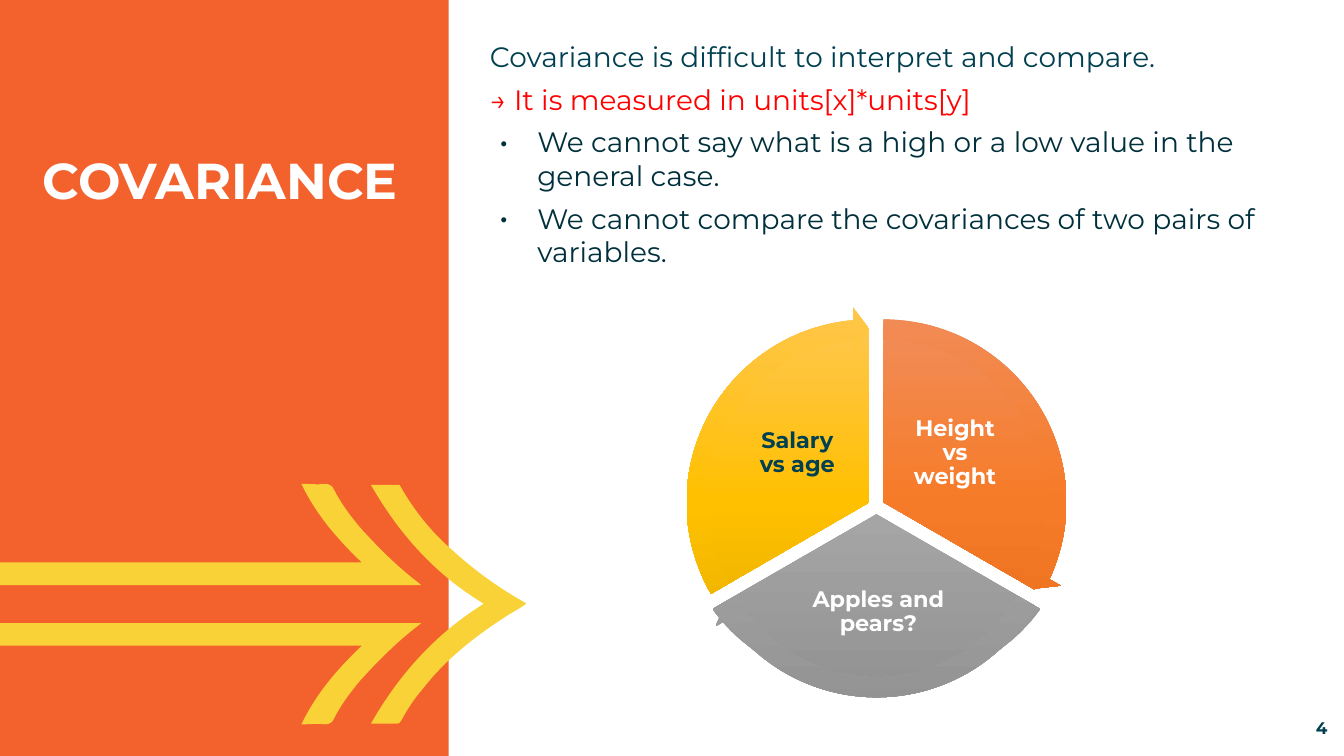
from dataclasses import dataclass
from math import cos, radians, sin

from lxml import etree
from pptx import Presentation
from pptx.dml.color import RGBColor
from pptx.enum.shapes import MSO_SHAPE
from pptx.enum.text import MSO_ANCHOR, PP_ALIGN
from pptx.oxml.ns import qn
from pptx.util import Inches, Pt

RECTANGLE, PIE, CIRCULAR_ARROW = MSO_SHAPE.RECTANGLE, MSO_SHAPE.PIE, MSO_SHAPE.CIRCULAR_ARROW
TOP, MIDDLE, BOTTOM = MSO_ANCHOR.TOP, MSO_ANCHOR.MIDDLE, MSO_ANCHOR.BOTTOM
LEFT, CENTER, RIGHT = PP_ALIGN.LEFT, PP_ALIGN.CENTER, PP_ALIGN.RIGHT

# Grid: 133.3 columns by 75 rows of square cells
COLUMNS, ROWS = 133.33, 75
CELL = Inches(0.1)


@dataclass(frozen=True)
class Theme:
    font: str = "Montserrat"
    panel: str = "F3612C"
    arrow: str = "F8D237"
    white: str = "FFFFFF"
    navy: str = "004050"
    dark: str = "00303C"
    red: str = "FF0000"
    orange: tuple = ("F18C57", "F67B28", "E56C19")
    grey: tuple = ("AFAFAF", "A5A5A5", "939393")
    yellow: tuple = ("FFC64B", "FFC000", "E3AB00")
    title_size: int = 36
    body_size: int = 20
    label_size: int = 16
    number_size: int = 12


THEME = Theme()

# Cycle diagram, in cells and degrees
CYCLE_CENTER = (86.95, 50.23)
CYCLE_GAP = 0.8
PIE_SIZE, ARROW_SIZE = 34.6, 38.9
ANGLE_UNIT = 0.6  # one degree as an adjustment value
HEAD_ANGLE = 3.275

# Arrow emblem, in cells: a start point, then lines (x, y) or curves (six numbers)
EMBLEM_AXIS = 59.93
SHAFT = [
    (41.8, 58.05), (-6.2, 58.05), (-6.2, 55.8), (35.9, 55.8),
    (33.5, 53.5, 31.4, 51.1, 29.9, 48), (30.7, 48, 31.5, 48.1, 32.3, 48),
    (32.6, 48, 33, 48.2, 33.1, 48.5), (33.8, 49.9, 34.7, 51.1, 35.7, 52.3),
    (37.5, 54.3, 39.4, 56.2, 41.5, 57.8), (41.6, 57.9, 41.7, 58, 41.8, 58.05),
]
CHEVRON = [
    (48, 59.9), (43.2, 57, 39.6, 53, 36.8, 48.1), (39.4, 48.1),
    (39.6, 48.1, 39.7, 48.1, 39.7, 48.2), (41.1, 50.7, 42.9, 52.9, 45, 54.7),
    (47.2, 56.7, 49.6, 58.4, 52.1, 59.8), (52.2, 59.9),
    (51.7, 60.3, 51.1, 60.6, 50.6, 60.9), (47.3, 63, 44.3, 65.3, 41.9, 68.4),
    (41.1, 69.3, 40.4, 70.4, 39.8, 71.5), (39.7, 71.7, 39.6, 71.8, 39.4, 71.8),
    (36.8, 71.8), (39.6, 66.9, 43.2, 62.9, 48, 59.9),
]


def cells(*counts):
    return [round(count * CELL) for count in counts]


def paint(shape, color):
    shape.shadow.inherit = False
    shape.line.fill.background()
    shape.fill.solid()
    shape.fill.fore_color.rgb = RGBColor.from_string(color)


def paint_gradient(shape, colors):
    """Vertical gradient with evenly spaced stops."""
    shape.shadow.inherit = False
    shape.line.fill.background()
    shape.fill.gradient()
    gradient = shape.element.spPr.find(qn("a:gradFill"))
    for child in list(gradient):
        gradient.remove(child)
    stops = etree.SubElement(gradient, qn("a:gsLst"))
    for index, color in enumerate(colors):
        position = index * 100000 // (len(colors) - 1)
        stop = etree.SubElement(stops, qn("a:gs"), pos=str(position))
        etree.SubElement(stop, qn("a:srgbClr"), val=color)
    etree.SubElement(gradient, qn("a:lin"), ang="5400000", scaled="0")


def add_text_area(slide, box, anchor=TOP, inset=0):
    frame = slide.shapes.add_textbox(*cells(*box)).text_frame
    frame.word_wrap = True
    frame.vertical_anchor = anchor
    frame.margin_left = frame.margin_right = Inches(inset)
    frame.margin_top = frame.margin_bottom = Inches(inset)
    return frame


def write(paragraph, text, size, color, bold=False, align=LEFT):
    paragraph.alignment = align
    run = paragraph.add_run()
    run.text = text
    run.font.name = THEME.font
    run.font.size = Pt(size)
    run.font.bold = bold
    run.font.color.rgb = RGBColor.from_string(color)


def add_bullet(paragraph):
    props = paragraph._p.get_or_add_pPr()
    props.set("marL", str(Inches(0.47)))
    props.set("indent", str(Inches(-0.38)))
    etree.SubElement(props, qn("a:buSzPct"), val="120000")
    etree.SubElement(props, qn("a:buFont"), typeface=THEME.font)
    etree.SubElement(props, qn("a:buChar"), char="•")


def add_outline(slide, outline, color):
    """Closed outline; six-number segments become cubic curves."""
    start, *segments = [cells(*segment) for segment in outline]
    builder = slide.shapes.build_freeform(*start)
    builder.add_line_segments([segment[-2:] for segment in segments], close=True)
    shape = builder.convert_to_shape()
    lines = list(shape.element.spPr.iter(qn("a:lnTo")))
    for line, segment in zip(lines, segments):
        if len(segment) == 6:
            curve = etree.Element(qn("a:cubicBezTo"))
            for x, y in zip(segment[::2], segment[1::2]):
                etree.SubElement(curve, qn("a:pt"), x=str(x - shape.left), y=str(y - shape.top))
            line.getparent().replace(line, curve)
    paint(shape, color)


def mirror(outline):
    """Reflect an outline over the emblem's horizontal axis."""
    return [tuple(2 * EMBLEM_AXIS - value if index % 2 else value
                  for index, value in enumerate(segment)) for segment in outline]


def add_emblem(slide):
    for outline in (SHAFT, CHEVRON, mirror(SHAFT)):
        add_outline(slide, outline, THEME.arrow)


def add_sector_shape(slide, kind, center, width, height, colors, adjustments):
    left, top = center[0] - width / 2, center[1] - height / 2
    shape = slide.shapes.add_shape(kind, *cells(left, top, width, height))
    for index, value in enumerate(adjustments):
        shape.adjustments[index] = value
    paint_gradient(shape, colors)


def add_cycle(slide):
    # start angle, pie width, colours, label, label colour, label box
    sectors = [
        (270, PIE_SIZE, THEME.orange, "Height vs weight", THEME.white, (90.4, 41.35, 8.7, 7.3)),
        (30, 38.7, THEME.grey, "Apples and pears?", THEME.white, (79.8, 57.55, 14.7, 6.4)),
        (150, PIE_SIZE, THEME.yellow, "Salary vs age", THEME.navy, (74.75, 41.35, 8.7, 7.3)),
    ]
    arrows = []
    for start, width, colors, label, label_color, label_box in sectors:
        end = (start + 120) % 360
        middle = radians(start + 60)
        center = (CYCLE_CENTER[0] + CYCLE_GAP * cos(middle),
                  CYCLE_CENTER[1] + CYCLE_GAP * sin(middle))
        first, last = start * ANGLE_UNIT, end * ANGLE_UNIT
        add_sector_shape(slide, PIE, center, width, PIE_SIZE, colors, (first, last))
        frame = add_text_area(slide, label_box, MIDDLE, inset=0.02)
        frame.paragraphs[0].line_spacing = 0.9
        write(frame.paragraphs[0], label, THEME.label_size, label_color, True, CENTER)
        arrows.append((center, colors, (0.051, HEAD_ANGLE, last - HEAD_ANGLE, first, 0.059)))
    # Rim arrows lie over every sector
    for center, colors, adjustments in arrows:
        add_sector_shape(slide, CIRCULAR_ARROW, center, ARROW_SIZE, ARROW_SIZE,
                         colors, adjustments)


def add_body(slide):
    lines = [
        ("Covariance is difficult to interpret and compare.", THEME.navy, False),
        ("→ It is measured in units[x]*units[y]", THEME.red, False),
        ("We cannot say what is a high or a low value in the general case.", THEME.dark, True),
        ("We cannot compare the covariances of two pairs of variables.", THEME.dark, True),
    ]
    frame = add_text_area(slide, (48.6, 3.9, 78.8, 66.7))
    for index, (text, color, bulleted) in enumerate(lines):
        paragraph = frame.add_paragraph() if index else frame.paragraphs[0]
        if bulleted:
            add_bullet(paragraph)
        paragraph.space_after = Pt(6.5)
        write(paragraph, text, THEME.body_size, color)


def main():
    deck = Presentation()
    deck.slide_width, deck.slide_height = cells(COLUMNS, ROWS)
    slide = deck.slides.add_slide(deck.slide_layouts[6])

    # Side panel and emblem
    panel = slide.shapes.add_shape(RECTANGLE, *cells(0, 0, 44.5, ROWS))
    paint(panel, THEME.panel)
    add_emblem(slide)

    # Text
    add_body(slide)
    title = add_text_area(slide, (4.2, 14.8, 37.7, 30.1))
    write(title.paragraphs[0], "COVARIANCE", THEME.title_size, THEME.white, True)
    number = add_text_area(slide, (123.1, 71.2, 8.6, 2), BOTTOM)
    write(number.paragraphs[0], "4", THEME.number_size, THEME.navy, True, RIGHT)

    # Diagram
    add_cycle(slide)
    deck.save("out.pptx")


if __name__ == "__main__":
    main()
